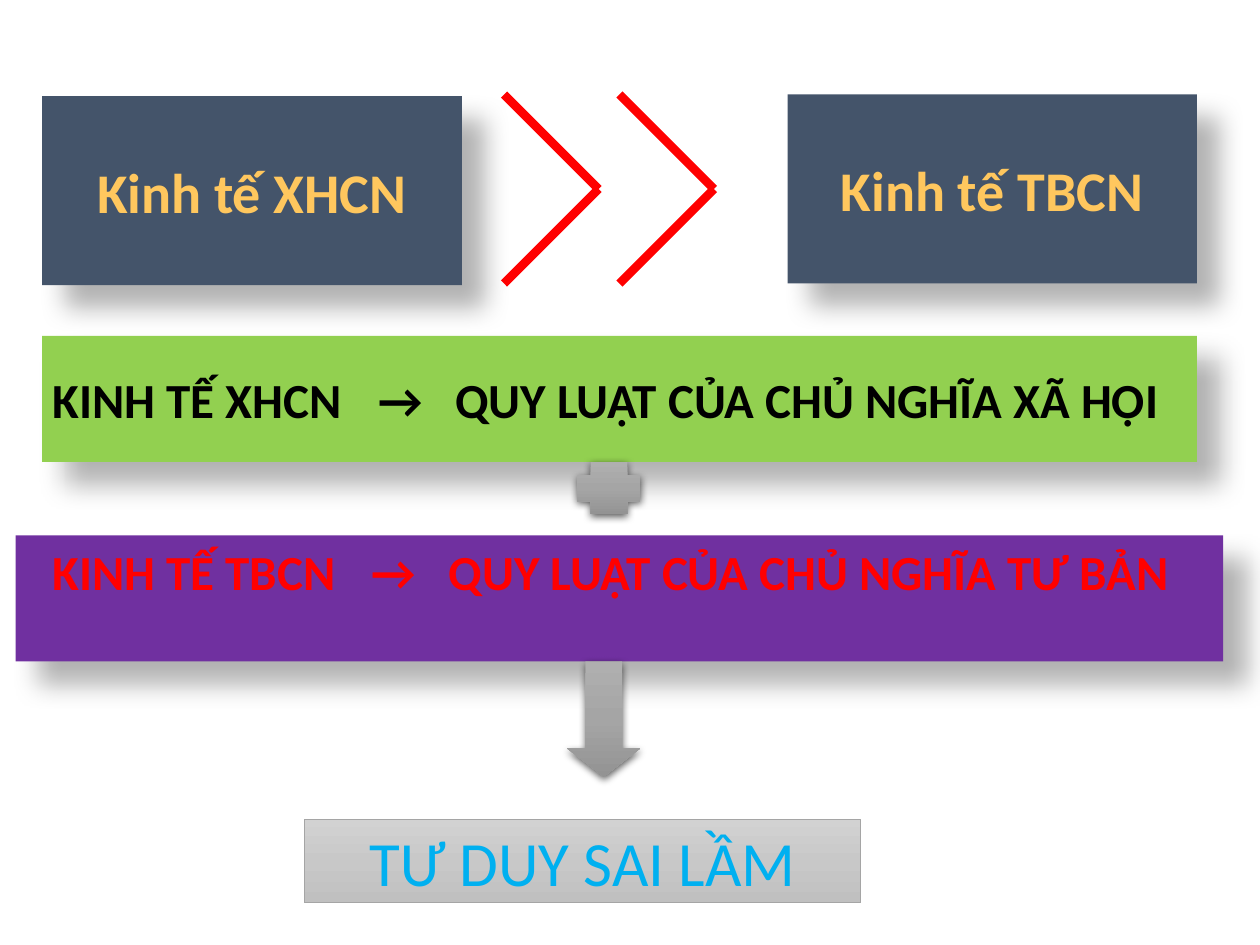
"""Build the slide that sets two economies and their laws side by side."""
import copy

import pptx
import pptx.dml.color
import pptx.enum.shapes
import pptx.enum.text
import pptx.oxml
import pptx.oxml.ns
import pptx.util

Pt = pptx.util.Pt
RGB = pptx.dml.color.RGBColor
KIND = pptx.enum.shapes.MSO_SHAPE
ALIGN = pptx.enum.text.PP_ALIGN
ANCHOR = pptx.enum.text.MSO_ANCHOR
qn = pptx.oxml.ns.qn

FONT = "Calibri"
SLATE = RGB(0x44, 0x54, 0x6A)
GOLD = RGB(0xFF, 0xC7, 0x5E)
GREEN = RGB(0x92, 0xD0, 0x50)
PURPLE = RGB(0x70, 0x30, 0xA0)
BLACK = RGB(0, 0, 0)
RED = RGB(0xFF, 0, 0)
BLUE = RGB(0, 0xB0, 0xF0)
GREY = RGB(0xA5, 0xA5, 0xA5)
DARK = (RGB(0xAF, 0xAF, 0xAF), GREY, RGB(0x93, 0x93, 0x93))
LIGHT = (RGB(0xD2, 0xD2, 0xD2), RGB(0xC8, 0xC8, 0xC8), RGB(0xC0, 0xC0, 0xC0))

DEEP = (30, 15, 18, 45)
SOFT = (63, 4.5, 1.5, 90)

HEADS = [
    ("Kinh tế XHCN", (24, 55, 240, 108)),
    ("Kinh tế TBCN", (450, 54, 234, 108)),
]
LAWS = [
    (("KINH TẾ XHCN", "→", "QUY LUẬT CỦA CHỦ NGHĨA XÃ HỘI"),
     (24, 192, 660, 72), GREEN, BLACK, ANCHOR.MIDDLE, (186, 230)),
    (("KINH TẾ TBCN", "→", "QUY LUẬT CỦA CHỦ NGHĨA TƯ BẢN"),
     (9, 306, 690, 72), PURPLE, RED, ANCHOR.TOP, (182.5, 226.5)),
]
SIGNS = [
    (KIND.CROSS, (330, 264, 36, 30), (0.25,)),
    (KIND.DOWN_ARROW, (324, 378, 42, 66), (0.5, 0.39)),
]
END = ("TƯ DUY SAI LẦM", (174, 468, 318, 48))
CROSS = [(288, 342), (408, 354)]
CROSS_TOP, CROSS_MID, CROSS_LOW = 54, 108, 162
LAW_LEFT = 30


def add_shape(slide, kind, box, fill, shade=None):
    shape = slide.shapes.add_shape(kind, *map(Pt, box))
    shape.shadow.inherit = False
    shape.line.fill.background()
    if isinstance(fill, tuple) and not isinstance(fill, RGB):
        blend(shape, fill)
    else:
        shape.fill.solid()
        shape.fill.fore_color.rgb = fill
    if shade:
        cast(shape, *shade)
    return shape


def blend(shape, tones):
    shape.fill.gradient()
    shape.fill.gradient_angle = 270
    stops = shape._element.spPr.find(".//" + qn("a:gsLst"))
    stops.append(copy.deepcopy(stops[0]))
    for i, (stop, tone) in enumerate(zip(shape.fill.gradient_stops, tones)):
        stop.position = i / 2
        stop.color.rgb = tone


def cast(shape, alpha, blur, dist, angle):
    effects = shape._element.spPr.find(qn("a:effectLst"))
    effects.append(pptx.oxml.parse_xml(
        f'<a:outerShdw {pptx.oxml.ns.nsdecls("a")} blurRad="{Pt(blur)}" '
        f'dist="{Pt(dist)}" dir="{angle * 60000}" algn="ctr" rotWithShape="0">'
        f'<a:srgbClr val="000000"><a:alpha val="{alpha * 1000}"/></a:srgbClr>'
        '</a:outerShdw>'))


def write(shape, text, size, tone, bold=True, align=ALIGN.CENTER, tabs=()):
    frame = shape.text_frame
    frame.word_wrap = True
    frame.vertical_anchor = ANCHOR.MIDDLE
    para = frame.paragraphs[0]
    para.text = text
    para.alignment = align
    if tabs:
        stops = pptx.oxml.parse_xml(
            f'<a:tabLst {pptx.oxml.ns.nsdecls("a")}>'
            + "".join(f'<a:tab pos="{Pt(tab)}" algn="l"/>' for tab in tabs)
            + "</a:tabLst>")
        para._p.get_or_add_pPr().append(stops)
    for run in para.runs:
        run.font.name = FONT
        run.font.size = Pt(size)
        run.font.bold = bold
        run.font.color.rgb = tone


def add_cross(slide):
    group = slide.shapes.add_group_shape()
    for side, (left, right) in enumerate(CROSS):
        tip, end = (right, left) if side == 0 else (left, right)
        for edge in (CROSS_TOP, CROSS_LOW):
            line = group.shapes.add_connector(
                pptx.enum.shapes.MSO_CONNECTOR.STRAIGHT,
                Pt(end), Pt(edge), Pt(tip), Pt(CROSS_MID))
            line.line.color.rgb = RED
            line.line.width = Pt(5)
            line._element.spPr.append(pptx.oxml.parse_xml(
                f'<a:effectLst {pptx.oxml.ns.nsdecls("a")}/>'))


def main():
    deck = pptx.Presentation()
    deck.slide_width, deck.slide_height = Pt(720), Pt(540)
    slide = deck.slides.add_slide(deck.slide_layouts[6])
    for text, box in HEADS:
        write(add_shape(slide, KIND.RECTANGLE, box, SLATE, DEEP), text, 32, GOLD)
    add_cross(slide)
    for parts, box, fill, tone, anchor, tabs in LAWS:
        bar = add_shape(slide, KIND.RECTANGLE, box, fill, DEEP)
        write(bar, "\t".join(parts), 28, tone, align=ALIGN.LEFT, tabs=tabs)
        bar.text_frame.vertical_anchor = anchor
        bar.text_frame.margin_left = Pt(LAW_LEFT - box[0])
    for kind, box, bends in SIGNS:
        sign = add_shape(slide, kind, box, DARK, SOFT)
        for i, bend in enumerate(bends):
            sign.adjustments[i] = bend
    last = add_shape(slide, KIND.RECTANGLE, END[1], LIGHT)
    last.line.color.rgb = GREY
    last.line.width = Pt(0.5)
    write(last, END[0], 36, BLUE, bold=False)
    deck.save("out.pptx")


if __name__ == "__main__":
    main()
